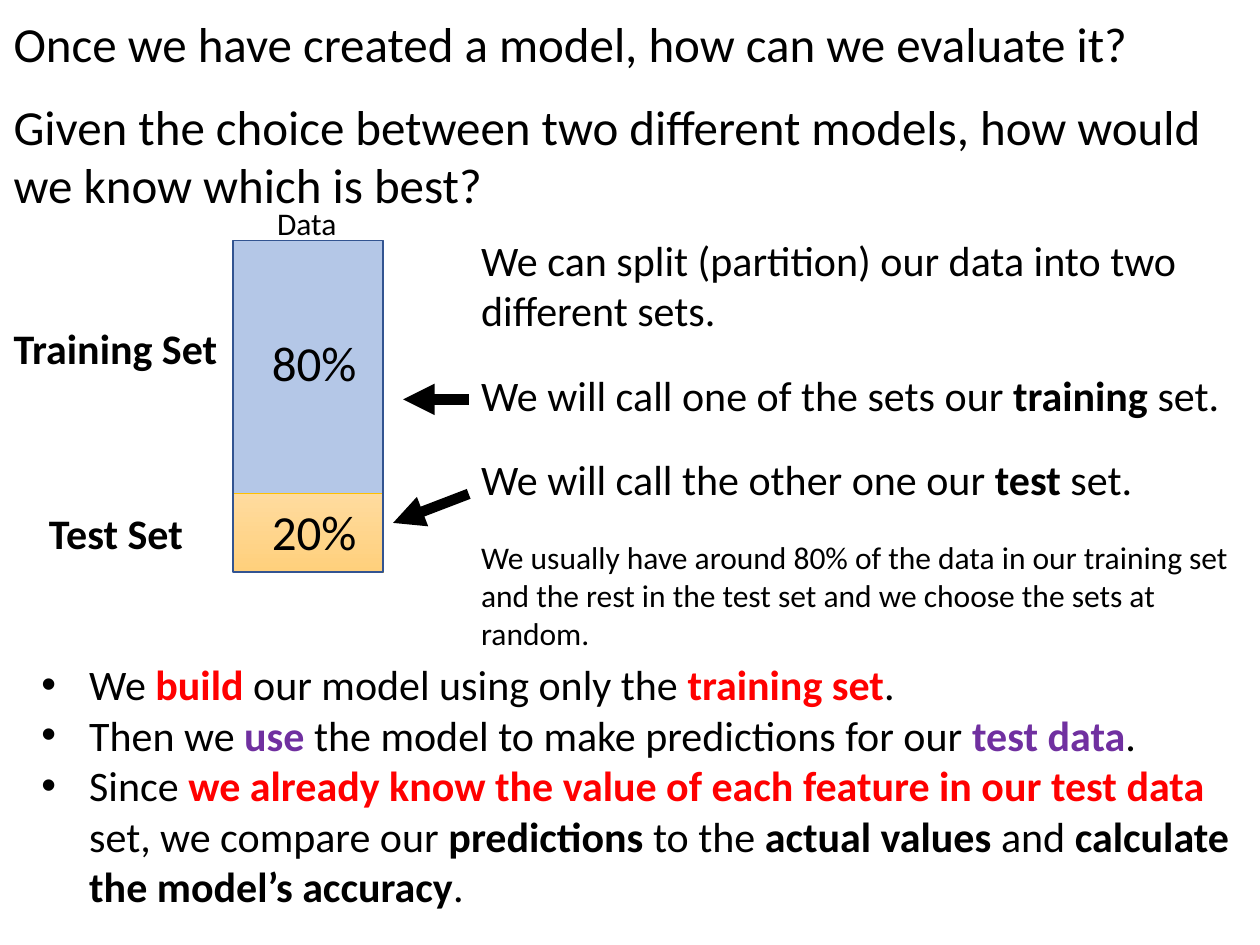
from lxml.etree import SubElement
from pptx import Presentation
from pptx.dml.color import RGBColor
from pptx.enum.shapes import MSO_CONNECTOR, MSO_SHAPE
from pptx.oxml.ns import qn
from pptx.util import Inches, Pt

BLACK = RGBColor(0x00, 0x00, 0x00)
RED = RGBColor(0xFF, 0x00, 0x00)
PURPLE = RGBColor(0x70, 0x30, 0xA0)
BLUE = RGBColor(0xB4, 0xC7, 0xE7)
OUTLINE = RGBColor(0x32, 0x54, 0x91)
GREY = RGBColor(0xA5, 0xA5, 0xA5)
GOLD = RGBColor(0xFF, 0xC0, 0x00)
LIGHT_ORANGE = RGBColor(0xFF, 0xDB, 0x9E)
ORANGE = RGBColor(0xFF, 0xD0, 0x7C)

deck = Presentation()
deck.slide_width, deck.slide_height = Inches(10), Inches(7.5)
page = deck.slides.add_slide(deck.slide_layouts[6])


def add_text(left, top, width, height, paragraphs, gap=0, wrap=True, bullets=False):
    """Each paragraph is (size, spans); each span is (text, colour, bold)."""
    box = page.shapes.add_textbox(Inches(left), Inches(top), Inches(width), Inches(height))
    frame = box.text_frame
    frame.word_wrap = wrap
    for index, (size, spans) in enumerate(paragraphs):
        para = frame.paragraphs[0] if index == 0 else frame.add_paragraph()
        if bullets:
            properties = para._p.get_or_add_pPr()
            properties.set("marL", str(Inches(0.38)))
            properties.set("indent", str(-Inches(0.38)))
            SubElement(properties, qn("a:buFont")).set("typeface", "Arial")
            SubElement(properties, qn("a:buChar")).set("char", "•")
        if index and gap:
            para.space_before = Pt(gap)
        para.font.size = Pt(size)
        for text, colour, bold in spans:
            first_line, *more_lines = text.split("\n")
            for number, line in enumerate([first_line, *more_lines]):
                if number:
                    para.add_line_break()
                span = para.add_run()
                span.text = line
                span.font.name = "Calibri"
                span.font.size = Pt(size)
                span.font.bold = bold
                span.font.color.rgb = colour


def add_bar(top, height, line_colour, line_width):
    bar = page.shapes.add_shape(
        MSO_SHAPE.RECTANGLE, Inches(1.85), Inches(top), Inches(1.19), Inches(height))
    bar.shadow.inherit = False
    bar.line.color.rgb = line_colour
    bar.line.width = Pt(line_width)
    return bar


# Stacked bar of the data split
training_bar = add_bar(1.91, 2.02, GREY, 0.5)
training_bar.fill.solid()
training_bar.fill.fore_color.rgb = BLUE

test_bar = add_bar(3.92, 0.62, GOLD, 0.5)
test_bar.fill.gradient()
test_bar.fill.gradient_angle = 270
for stop, colour in zip(test_bar.fill.gradient_stops, (LIGHT_ORANGE, ORANGE)):
    stop.color.rgb = colour

add_bar(1.91, 2.63, OUTLINE, 1).fill.background()

# Opening questions
add_text(0.01, 0.06, 9.77, 1.75, [
    (28, [("Once we have created a model, how can we evaluate it?", BLACK, False)]),
    (28, [("Given the choice between two different models, how would we know which is best?",
           BLACK, False)]),
], gap=13.4)

# Explanation beside the bar
add_text(3.72, 1.81, 6.28, 3.43, [
    (24, [("We can split (partition) our data into two \ndifferent sets.", BLACK, False)]),
    (24, [("We will call one of the sets our ", BLACK, False), ("training", BLACK, True),
          (" set.", BLACK, False)]),
    (24, [("We will call the other one our ", BLACK, False), ("test", BLACK, True),
          (" set.", BLACK, False)]),
    (18, [("We usually have around 80% of the data in our training set \n"
           "and the rest in the test set and we choose the sets at \nrandom.", BLACK, False)]),
], gap=19.5)

# Arrows from the explanation to the bar
for start_y, end_x, end_y in ((3.17, 3.2, 3.17), (3.92, 3.12, 4.15)):
    arrow = page.shapes.add_connector(
        MSO_CONNECTOR.STRAIGHT, Inches(3.72), Inches(start_y), Inches(end_x), Inches(end_y))
    arrow.line.color.rgb = BLACK
    arrow.line.width = Pt(6)
    SubElement(arrow.line._get_or_add_ln(), qn("a:tailEnd")).set("type", "triangle")
    SubElement(arrow._element.spPr, qn("a:effectLst"))

# Labels on and around the bar
for text, left, top, width, height, size, bold in (
    ("Training Set", 0.01, 2.51, 1.84, 0.5, 24, True),
    ("Test Set", 0.29, 3.98, 1.28, 0.5, 24, True),
    ("80%", 2.06, 2.59, 0.88, 0.57, 28, False),
    ("20%", 2.06, 3.93, 0.88, 0.57, 28, False),
    ("Data", 2.1, 1.57, 0.68, 0.4, 18, False),
):
    add_text(left, top, width, height, [(size, [(text, BLACK, bold)])], wrap=False)

# Steps of the evaluation
add_text(0.23, 5.18, 9.77, 2.12, [
    (24, [("We ", BLACK, False), ("build", RED, True),
          (" our model using only the ", BLACK, False), ("training set", RED, True),
          (".", BLACK, False)]),
    (24, [("Then we ", BLACK, False), ("use", PURPLE, True),
          (" the model to make predictions for our ", BLACK, False),
          ("test data", PURPLE, True), (".", BLACK, False)]),
    (24, [("Since ", BLACK, False),
          ("we already know the value of each feature in our test data ", RED, True),
          ("set, we compare our ", BLACK, False), ("predictions", BLACK, True),
          (" to the ", BLACK, False), ("actual values ", BLACK, True),
          ("and ", BLACK, False), ("calculate the model’s accuracy", BLACK, True),
          (".", BLACK, False)]),
], bullets=True)

deck.save("out.pptx")
